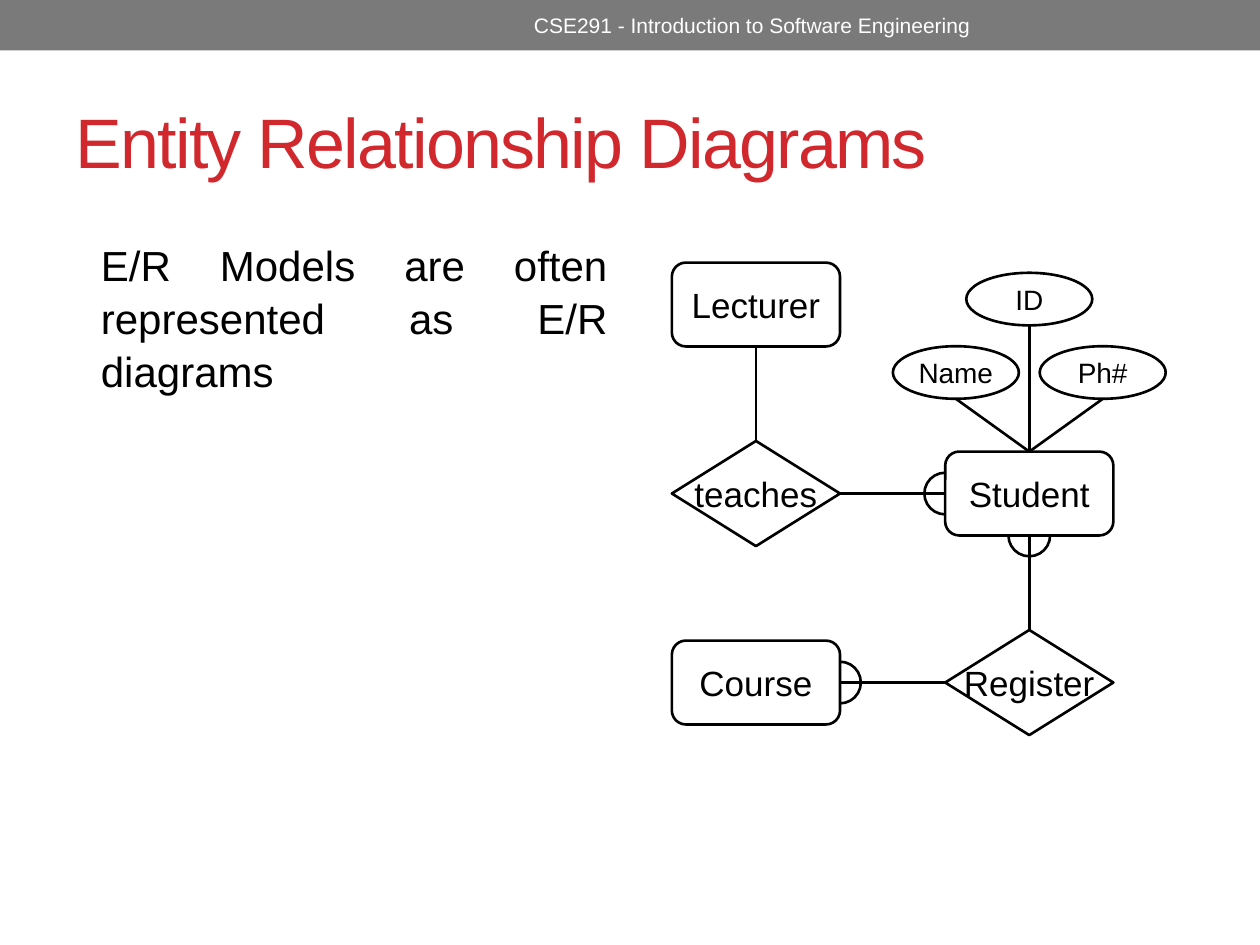
"""Builds a slide on entity relationship diagrams."""
from pptx import Presentation
from pptx.dml.color import RGBColor
from pptx.enum.shapes import MSO_CONNECTOR, MSO_SHAPE
from pptx.enum.text import MSO_ANCHOR, MSO_AUTO_SIZE, PP_ALIGN
from pptx.oxml.ns import qn
from pptx.util import Cm, Pt
from lxml.etree import SubElement

TITLE = "Entity Relationship Diagrams"
BODY = "E/R Models are often represented as E/R diagrams"
COURSE_LINE = "CSE291 - Introduction to Software Engineering"

BLACK, WHITE, RED, GREY = "000000", "FFFFFF", "D1282E", "7A7A7A"
LEFT_X, RIGHT_X = 15.24, 20.75
TOP_Y, ROW_STEP = 6.14, 3.81
MIDDLE_Y, BOTTOM_Y = TOP_Y + ROW_STEP, TOP_Y + 2 * ROW_STEP
ATTRIBUTE_STEP = 1.48

KINDS = {
    "entity": (MSO_SHAPE.ROUNDED_RECTANGLE, 3.39, 1.69, 20),
    "relationship": (MSO_SHAPE.DIAMOND, 3.39, 2.12, 20),
    "attribute": (MSO_SHAPE.OVAL, 2.54, 1.06, 16),
}
NODES = [
    ("Student", "entity", RIGHT_X, MIDDLE_Y),
    ("Lecturer", "entity", LEFT_X, TOP_Y),
    ("Course", "entity", LEFT_X, BOTTOM_Y),
    ("teaches", "relationship", LEFT_X, MIDDLE_Y),
    ("Register", "relationship", RIGHT_X, BOTTOM_Y),
    ("ID", "attribute", RIGHT_X, 6.03),
    ("Ph#", "attribute", RIGHT_X + ATTRIBUTE_STEP, 7.51),
    ("Name", "attribute", RIGHT_X - ATTRIBUTE_STEP, 7.51),
]
SITES = {"top": 0, "left": 1, "bottom": 2, "right": 3}
LINKS = [
    ("Lecturer", "bottom", "teaches", "top"),
    ("teaches", "right", "Student", "left"),
    ("Student", "bottom", "Register", "top"),
    ("Course", "right", "Register", "left"),
]
ATTRIBUTES = ["Ph#", "ID", "Name"]
MANY_DIAMETER = 0.84
MANY_ENDS = [
    ("Course", "right", 270, 90),
    ("Student", "left", 90, 270),
    ("Student", "bottom", 0, 180),
]


def colour(code):
    return RGBColor.from_string(code)


def place(shape, left, top, width, height):
    shape.left, shape.top = Cm(left), Cm(top)
    shape.width, shape.height = Cm(width), Cm(height)


def write(frame, text, size, code, align, wrap=True, anchor=MSO_ANCHOR.MIDDLE):
    frame.word_wrap = wrap
    frame.auto_size = MSO_AUTO_SIZE.NONE
    frame.vertical_anchor = anchor
    paragraph = frame.paragraphs[0]
    paragraph.alignment = align
    run = paragraph.add_run()
    run.text = text
    run.font.name, run.font.size = "Arial", Pt(size)
    run.font.color.rgb = colour(code)
    return paragraph


def outline(shape):
    shape.shadow.inherit = False
    shape.fill.background()
    shape.line.color.rgb = colour(BLACK)
    shape.line.width = Pt(1.5)


def edge_point(shape, side):
    x, y = shape.left + shape.width // 2, shape.top + shape.height // 2
    return {
        "top": (x, shape.top),
        "left": (shape.left, y),
        "bottom": (x, shape.top + shape.height),
        "right": (shape.left + shape.width, y),
    }[side]


def add_node(shapes, label, kind, x, y):
    preset, width, height, size = KINDS[kind]
    node = shapes.add_shape(preset, Cm(x - width / 2), Cm(y - height / 2), Cm(width), Cm(height))
    outline(node)
    write(node.text_frame, label, size, BLACK, PP_ALIGN.CENTER, wrap=False)
    return node


def add_link(shapes, start, start_side, end, end_side):
    link = shapes.add_connector(
        MSO_CONNECTOR.STRAIGHT, *edge_point(start, start_side), *edge_point(end, end_side))
    link.line.color.rgb = colour(BLACK)
    link.line.width = Pt(1.5)
    SubElement(link._element.spPr, qn("a:effectLst"))
    return link


def add_many_end(shapes, entity, side, start_angle, end_angle):
    x, y = edge_point(entity, side)
    diameter = Cm(MANY_DIAMETER)
    arc = shapes.add_shape(MSO_SHAPE.ARC, x - diameter // 2, y - diameter // 2, diameter, diameter)
    arc.adjustments[0], arc.adjustments[1] = start_angle * 0.6, end_angle * 0.6
    outline(arc)


def main():
    deck = Presentation()
    deck.slide_width, deck.slide_height = Cm(25.4), Cm(19.05)
    slide = deck.slides.add_slide(deck.slide_layouts[1])
    shapes = slide.shapes
    title, body = slide.placeholders

    place(title, 1.27, 1.47, 22.86, 2.74)
    heading = write(title.text_frame, TITLE, 40, RED, PP_ALIGN.LEFT)
    heading.runs[0].font._element.set("spc", "-100")

    place(body, 1.27, 4.65, 11.23, 13.11)
    statement = write(body.text_frame, BODY, 24, BLACK, PP_ALIGN.JUSTIFY, anchor=MSO_ANCHOR.TOP)
    statement.space_before, statement.line_spacing = Pt(0), 1.05
    properties = statement._p.get_or_add_pPr()
    properties.set("marL", str(Cm(0.51)))
    properties.set("indent", "0")
    SubElement(properties, qn("a:buNone"))

    banner = shapes.add_shape(MSO_SHAPE.RECTANGLE, 0, 0, deck.slide_width, Cm(1.02))
    banner.shadow.inherit = False
    banner.fill.solid()
    banner.fill.fore_color.rgb = colour(GREY)
    banner.line.fill.background()
    course_box = shapes.add_textbox(Cm(9.45), Cm(0.05), Cm(11.43), Cm(0.91))
    write(course_box.text_frame, COURSE_LINE, 12, WHITE, PP_ALIGN.CENTER)

    nodes = {node[0]: add_node(shapes, *node) for node in NODES}
    for start, start_side, end, end_side in LINKS:
        link = add_link(shapes, nodes[start], start_side, nodes[end], end_side)
        link.begin_connect(nodes[start], SITES[start_side])
        link.end_connect(nodes[end], SITES[end_side])
    for attribute in ATTRIBUTES:
        link = add_link(shapes, nodes[attribute], "bottom", nodes["Student"], "top")
        link.end_connect(nodes["Student"], SITES["top"])
    for entity, side, start_angle, end_angle in MANY_ENDS:
        add_many_end(shapes, nodes[entity], side, start_angle, end_angle)

    deck.save("out.pptx")


if __name__ == "__main__":
    main()
